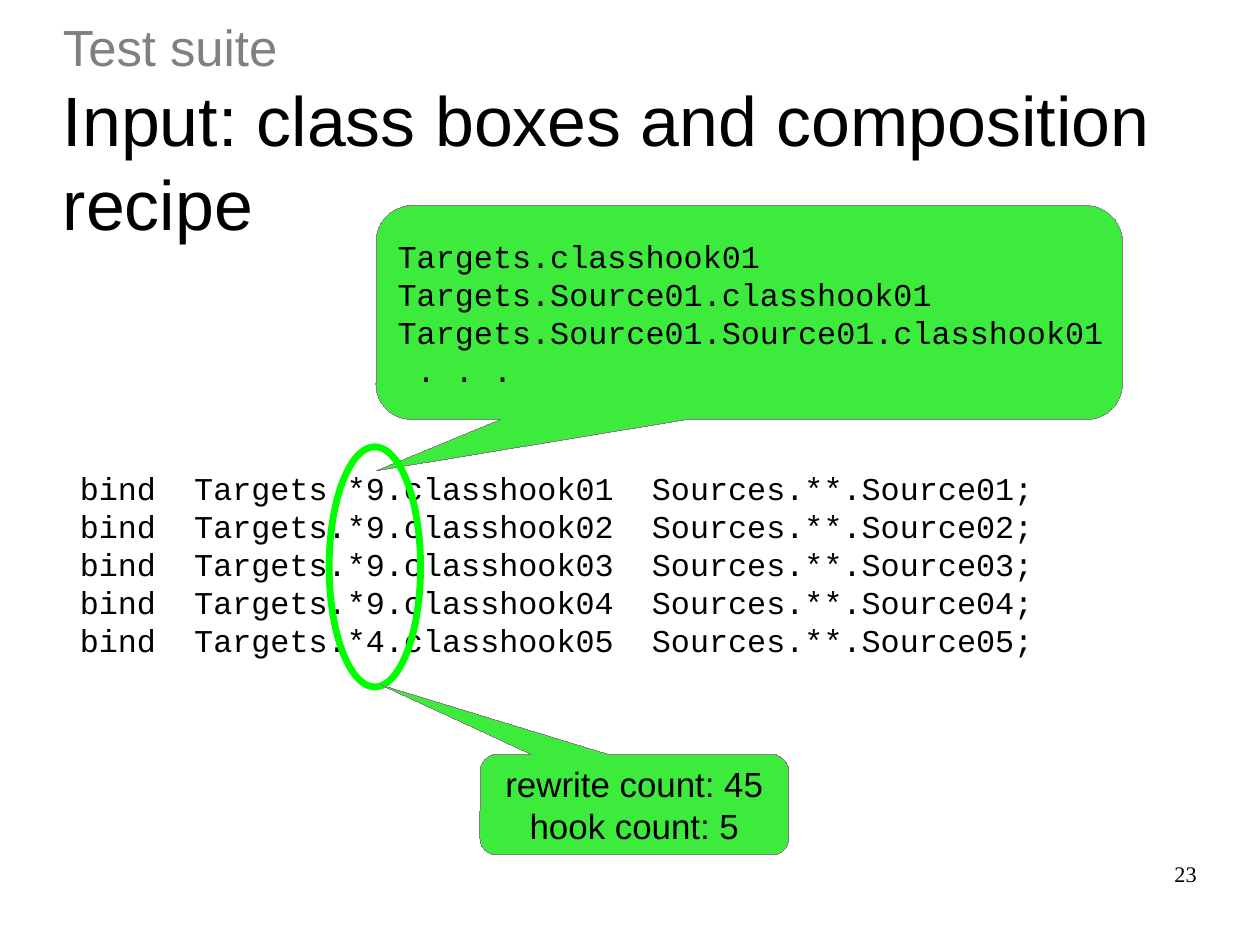
from dataclasses import dataclass

from pptx import Presentation
from pptx.dml.color import RGBColor
from pptx.enum.shapes import MSO_SHAPE
from pptx.enum.text import MSO_ANCHOR, PP_ALIGN
from pptx.oxml.ns import qn
from pptx.util import Inches, Pt

CALLOUT = MSO_SHAPE.ROUNDED_RECTANGULAR_CALLOUT
ELLIPSE = MSO_SHAPE.OVAL
TOP, MIDDLE = MSO_ANCHOR.TOP, MSO_ANCHOR.MIDDLE
LEFT, CENTER, RIGHT = PP_ALIGN.LEFT, PP_ALIGN.CENTER, PP_ALIGN.RIGHT
BLANK_LAYOUT = 6
CM_PER_INCH = 2.54


@dataclass(frozen=True)
class Theme:
    ink: str = "000000"
    muted: str = "808080"
    callout: str = "3DEB3D"
    marker: str = "00FF00"
    sans: str = "Arial"
    code: str = "Courier New"
    serif: str = "Times New Roman"
    kicker_size: int = 32
    title_size: int = 44
    code_size: int = 20
    note_size: int = 22
    number_size: int = 14


def write_span(para, text, size, font, color):
    span = para.add_run()
    span.text = text
    span.font.size = Pt(size)
    span.font.name = font
    span.font.color.rgb = RGBColor.from_string(color)


class SlideBuilder:
    def __init__(self, page, theme):
        self.page = page
        self.theme = theme

    def prepare_frame(self, shape, anchor, padding, wrap):
        frame = shape.text_frame
        frame.word_wrap = wrap
        frame.vertical_anchor = anchor
        frame.margin_left = frame.margin_right = Inches(padding)
        frame.margin_top = frame.margin_bottom = Inches(padding / 2)
        return frame

    def fill_lines(self, frame, lines, align=LEFT, **style):
        for index, line in enumerate(lines):
            para = frame.add_paragraph() if index else frame.paragraphs[0]
            para.alignment = align
            write_span(para, line, color=self.theme.ink, **style)

    def text_box(self, place, anchor=TOP, padding=0):
        box = self.page.shapes.add_textbox(*map(Inches, place))
        return self.prepare_frame(box, anchor, padding, True)

    def title(self, place, kicker, heading):
        theme = self.theme
        para = self.text_box(place, MIDDLE).paragraphs[0]
        write_span(para, kicker, theme.kicker_size, theme.sans, theme.muted)
        para.add_line_break()
        write_span(para, heading, theme.title_size, theme.sans, theme.ink)

    def text(self, place, lines, padding=0, **style):
        self.fill_lines(self.text_box(place, padding=padding), lines, **style)

    def shape(self, kind, place, line_color, line_width):
        shape = self.page.shapes.add_shape(kind, *map(Inches, place))
        shape.shadow.inherit = False
        shape.line.color.rgb = RGBColor.from_string(line_color)
        outline = shape.element.spPr.find(qn("a:ln"))
        outline.set("w", str(int(Pt(line_width))))
        return shape

    def callout(self, place, tip, lines, **style):
        shape = self.shape(CALLOUT, place, self.theme.muted, 0)
        shape.fill.solid()
        shape.fill.fore_color.rgb = RGBColor.from_string(self.theme.callout)
        shape.adjustments[0], shape.adjustments[1] = tip
        frame = self.prepare_frame(shape, MIDDLE, 0.1, False)
        self.fill_lines(frame, lines, **style)

    def ring(self, place):
        self.shape(ELLIPSE, place, self.theme.marker, 4.31).fill.background()


def main():
    deck = Presentation()
    deck.slide_width = Inches(28 / CM_PER_INCH)
    deck.slide_height = Inches(21 / CM_PER_INCH)
    page = deck.slides.add_slide(deck.slide_layouts[BLANK_LAYOUT])
    theme = Theme()
    builder = SlideBuilder(page, theme)
    code_style = {"size": theme.code_size, "font": theme.code}

    builder.title((0.55, 0.2, 9.92, 1.87), "Test suite",
                  "Input: class boxes and composition recipe")
    rewrite_counts = (9, 9, 9, 9, 4)
    bindings = [
        f"bind  Targets.*{count}.classhook0{hook}  Sources.**.Source0{hook};"
        for hook, count in enumerate(rewrite_counts, start=1)
    ]
    builder.text((0.6, 4.05, 8.8, 1.72), bindings, padding=0.1, **code_style)
    expansions = [f"Targets.{'Source01.' * depth}classhook01" for depth in range(3)]
    builder.callout((3.29, 1.8, 6.53, 1.87), (-0.5, 0.74),
                    expansions + [" . . ."], **code_style)
    builder.ring((2.88, 3.91, 0.8, 2.1))
    builder.callout((4.2, 6.6, 2.7, 0.88), (-0.82, -1.19),
                    ["rewrite count: 45", "hook count: 5"],
                    align=CENTER, size=theme.note_size, font=theme.sans)
    builder.text((7.9, 7.53, 2.57, 0.57), ["23"], align=RIGHT,
                 size=theme.number_size, font=theme.serif)
    deck.save("out.pptx")


if __name__ == "__main__":
    main()
